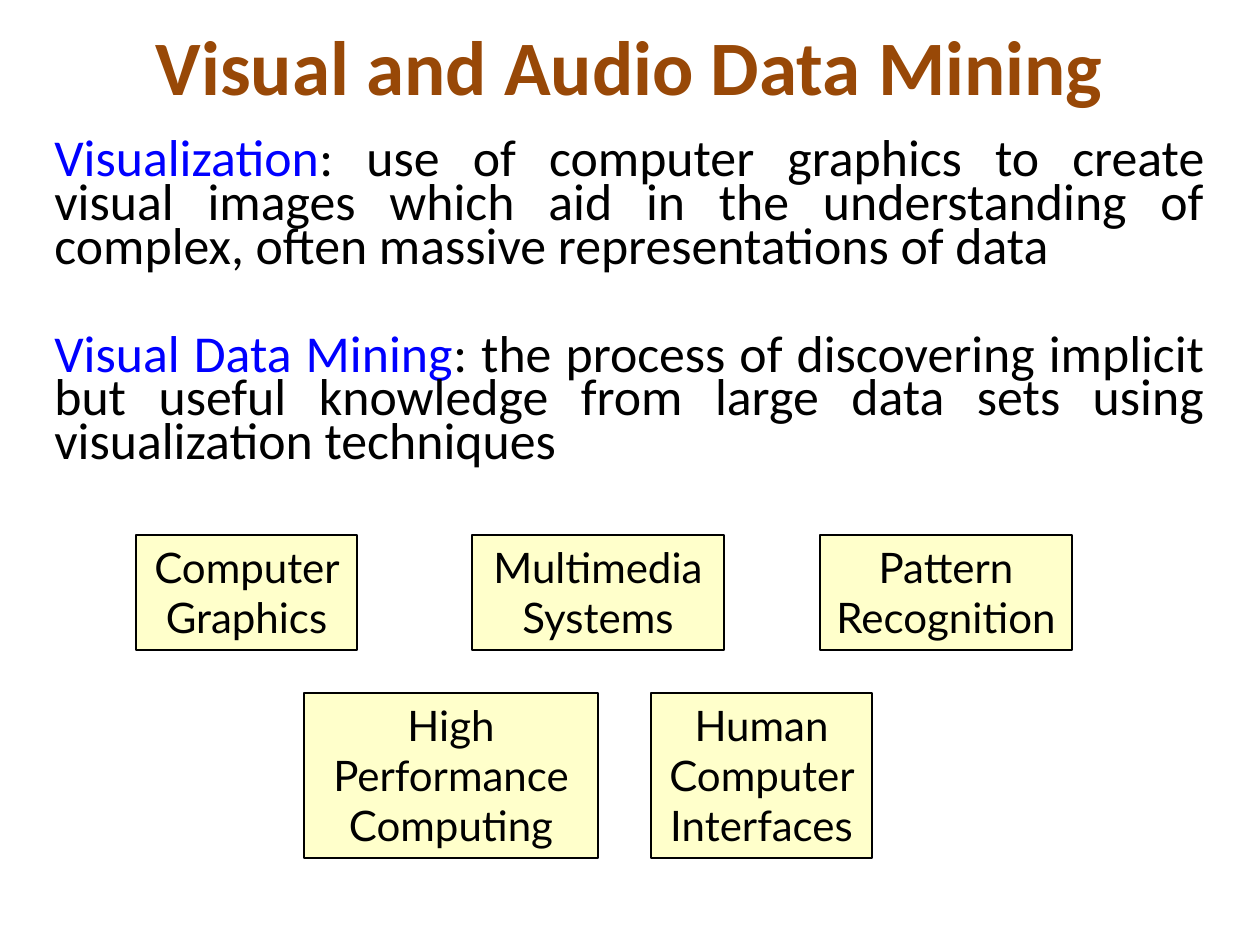
from lxml import etree
from pptx import Presentation
from pptx.dml.color import RGBColor
from pptx.enum.shapes import MSO_SHAPE
from pptx.enum.text import MSO_ANCHOR, PP_ALIGN
from pptx.oxml.ns import qn
from pptx.util import Pt

PX = 914400 // 126
RECT = MSO_SHAPE.RECTANGLE
TOP, MIDDLE = MSO_ANCHOR.TOP, MSO_ANCHOR.MIDDLE
CENTER, JUSTIFY = PP_ALIGN.CENTER, PP_ALIGN.JUSTIFY
BROWN = RGBColor(0x98, 0x48, 0x07)
BLUE = RGBColor(0, 0, 0xFF)
BLACK = RGBColor(0, 0, 0)
YELLOW = RGBColor(0xFF, 0xFF, 0x99)

TITLE = "Visual and Audio Data Mining"
TERMS = [
    ("Visualization", ": use of computer graphics to create visual images which aid "
     "in the understanding of complex, often massive representations of data"),
    ("Visual Data Mining", ": the process of discovering implicit but useful "
     "knowledge from large data sets using visualization techniques"),
]
# Rows of fields: top, height, then (left, width, label)
ROWS = [
    (535, 115, [(136, 221, "Computer Graphics"),
                (472, 252, "Multimedia Systems"),
                (820, 252, "Pattern Recognition")]),
    (693, 165, [(304, 294, "High Performance Computing"),
                (651, 221, "Human Computer Interfaces")]),
]


def px(*nums):
    return [n * PX for n in nums]


def write(shape, paras, size, font="Calibri", bold=False, align=CENTER,
          anchor=TOP, line=None, gap=0):
    """Fill a shape with paragraphs, each a list of (text, colour) runs."""
    frame = shape.text_frame
    frame.word_wrap = True
    frame.vertical_anchor = anchor
    for i, runs in enumerate(paras):
        para = frame.paragraphs[0] if i == 0 else frame.add_paragraph()
        para.alignment = align
        if line:
            para.line_spacing = line
        para.space_before = Pt(gap if i else 0)
        for text, color in runs:
            run = para.add_run()
            run.text = text
            run.font.name = font
            run.font.size = Pt(size)
            run.font.bold = bold
            run.font.color.rgb = color


def add_field(slide, box, label):
    shape = slide.shapes.add_shape(RECT, *px(*box))
    shape.shadow.inherit = False
    shape.fill.solid()
    shape.fill.fore_color.rgb = YELLOW
    # Half-transparent fill
    color = shape.fill._xPr.find(qn("a:solidFill"))[0]
    etree.SubElement(color, qn("a:alpha")).set("val", "50000")
    shape.line.color.rgb = BLACK
    shape.line.width = Pt(0.75)
    write(shape, [[(label, BLACK)]], 24, font="Lato")


def main():
    deck = Presentation()
    deck.slide_width, deck.slide_height = px(1260, 945)
    slide = deck.slides.add_slide(deck.slide_layouts[6])

    # Definitions
    body = slide.shapes.add_textbox(*px(42, 136, 1176, 368))
    paras = [[(term, BLUE), (text, BLACK)] for term, text in TERMS]
    write(body, paras, 29.6, align=JUSTIFY, line=0.7, gap=37)

    # Contributing fields
    for top, height, fields in ROWS:
        for left, width, label in fields:
            add_field(slide, (left, top, width, height), label)

    # Title
    title = slide.shapes.add_textbox(*px(63, 10, 1134, 110))
    write(title, [[(TITLE, BROWN)]], 44, bold=True, anchor=MIDDLE)

    deck.save("out.pptx")


if __name__ == "__main__":
    main()
